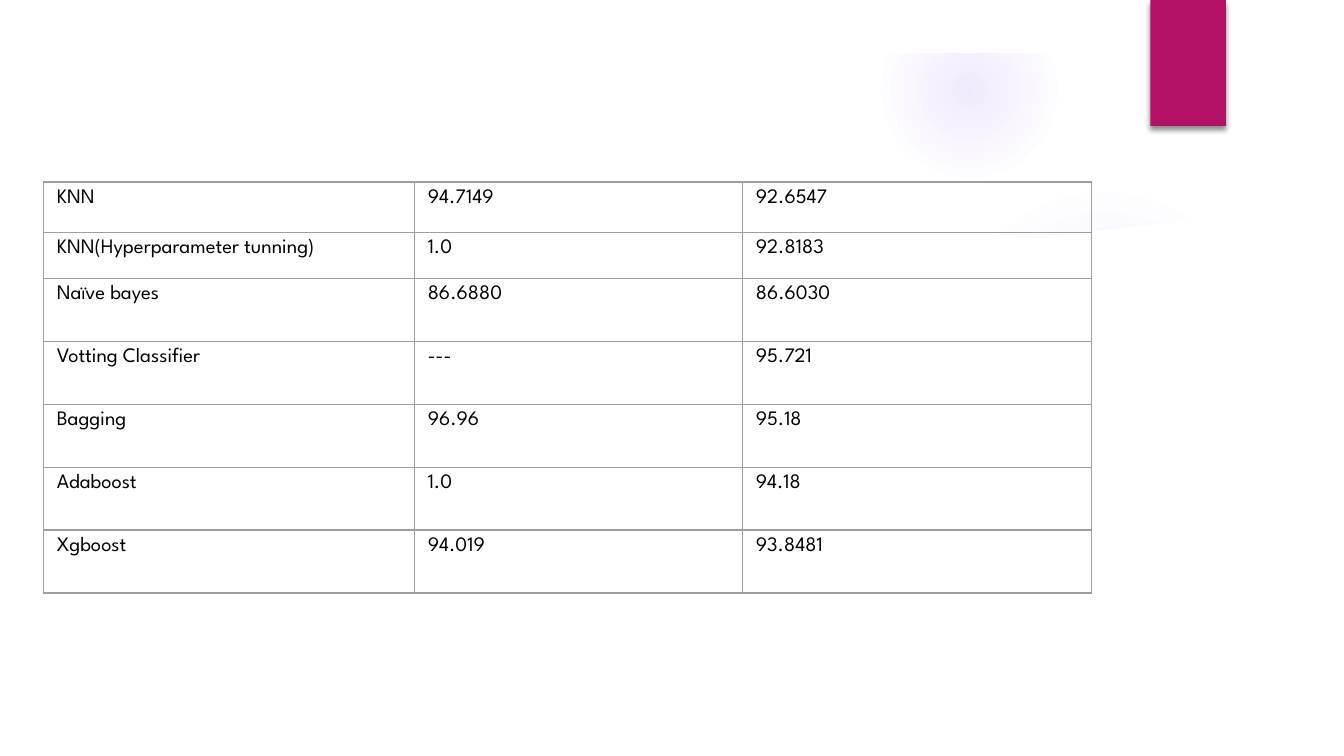
from lxml.etree import SubElement
from pptx import Presentation
from pptx.dml.color import RGBColor
from pptx.enum.shapes import MSO_SHAPE
from pptx.oxml import parse_xml
from pptx.oxml.ns import nsdecls, qn
from pptx.util import Cm, Pt

COLORS = {"white": "FFFFFF", "glow": "9B6BF2", "tab": "B31166",
          "border": "9E9E9E", "text": "000000"}
FONT = "League Spartan"

MODEL_SCORES = [
    ("KNN", "94.7149", "92.6547"),
    ("KNN(Hyperparameter tunning)", "1.0", "92.8183"),
    ("Naïve bayes", "86.6880", "86.6030"),
    ("Votting Classifier", "---", "95.721"),
    ("Bagging", "96.96", "95.18"),
    ("Adaboost", "1.0", "94.18"),
    ("Xgboost", "94.019", "93.8481"),
]
COLUMN_WIDTHS = [7.01, 6.2, 6.6]
ROW_HEIGHTS = [0.95, 0.87] + [1.19] * 5

GLOWS = [
    (17.93, 3.51, 5.87, [(0, 7), (36, 6), (69, 0)]),
    (16.66, 0.03, 3.33, [(0, 14), (36, 7), (73, 0)]),
]
PANEL_OUTLINE = [
    (0.97, 3.89), (3.02, 4.14), (6.1, 4.45), (10.19, 4.67), (13.97, 4.72),
    (17.02, 4.65), (19.13, 4.52), (20.73, 4.37), (22.33, 4.19), (24.46, 3.89),
    (24.46, 13.34), (0.97, 13.34),
]


def paint(shape, color):
    shape.shadow.inherit = False
    shape.fill.solid()
    shape.fill.fore_color.rgb = RGBColor.from_string(COLORS[color])
    shape.line.fill.background()


def add_glow(slide, left, top, size, stops):
    glow = slide.shapes.add_shape(MSO_SHAPE.OVAL, Cm(left), Cm(top), Cm(size), Cm(size))
    paint(glow, "glow")
    stop_xml = "".join(
        f'<a:gs pos="{pos * 1000}"><a:srgbClr val="{COLORS["glow"]}">'
        f'<a:alpha val="{alpha * 1000}"/></a:srgbClr></a:gs>'
        for pos, alpha in stops)
    gradient = parse_xml(
        f'<a:gradFill {nsdecls("a")}><a:gsLst>{stop_xml}</a:gsLst><a:path path="circle">'
        '<a:fillToRect l="50000" t="50000" r="50000" b="50000"/></a:path></a:gradFill>')
    properties = glow._element.spPr
    properties.replace(properties.find(qn("a:solidFill")), gradient)


def add_drop_shadow(shape):
    effects = shape._element.spPr.find(qn("a:effectLst"))
    shadow = SubElement(effects, qn("a:outerShdw"), blurRad=str(Pt(3)),
                        dist=str(Pt(2)), dir="5400000", rotWithShape="0")
    color = SubElement(shadow, qn("a:srgbClr"), val=COLORS["text"])
    SubElement(color, qn("a:alpha"), val="45000")


def style_cell(cell):
    cell.fill.background()
    for index, side in enumerate(("lnL", "lnR", "lnT", "lnB")):
        border = parse_xml(
            f'<a:{side} {nsdecls("a")} w="{Pt(0.75)}"><a:solidFill>'
            f'<a:srgbClr val="{COLORS["border"]}"/></a:solidFill></a:{side}>')
        cell._tc.get_or_add_tcPr().insert(index, border)
    font = cell.text_frame.paragraphs[0].runs[0].font
    font.name = FONT
    font.size = Pt(11)
    font.bold = False
    font.color.rgb = RGBColor.from_string(COLORS["text"])


def add_score_table(slide):
    table = slide.shapes.add_table(
        len(MODEL_SCORES), len(COLUMN_WIDTHS), Cm(0.82), Cm(3.44),
        Cm(sum(COLUMN_WIDTHS)), Cm(sum(ROW_HEIGHTS))).table
    table.first_row = False
    table.horz_banding = False
    for column, width in zip(table.columns, COLUMN_WIDTHS):
        column.width = Cm(width)
    for row, height, scores in zip(table.rows, ROW_HEIGHTS, MODEL_SCORES):
        row.height = Cm(height)
        for cell, score in zip(row.cells, scores):
            cell.text_frame.text = score
            style_cell(cell)


def main():
    deck = Presentation()
    deck.slide_width, deck.slide_height = Cm(25.4), Cm(14.29)
    slide = deck.slides.add_slide(deck.slide_layouts[6])

    for glow in GLOWS:
        add_glow(slide, *glow)

    start, *outline = [(Cm(x), Cm(y)) for x, y in PANEL_OUTLINE]
    builder = slide.shapes.build_freeform(*start)
    builder.add_line_segments(outline, close=True)
    paint(builder.convert_to_shape(), "white")

    frame = slide.shapes.add_shape(MSO_SHAPE.FRAME, 0, 0, deck.slide_width, deck.slide_height)
    frame.adjustments[0] = 0.07
    paint(frame, "white")

    tab = slide.shapes.add_shape(MSO_SHAPE.RECTANGLE, Cm(21.74), 0, Cm(1.43), Cm(2.38))
    paint(tab, "tab")
    add_drop_shadow(tab)

    add_score_table(slide)
    deck.save("out.pptx")


if __name__ == "__main__":
    main()
